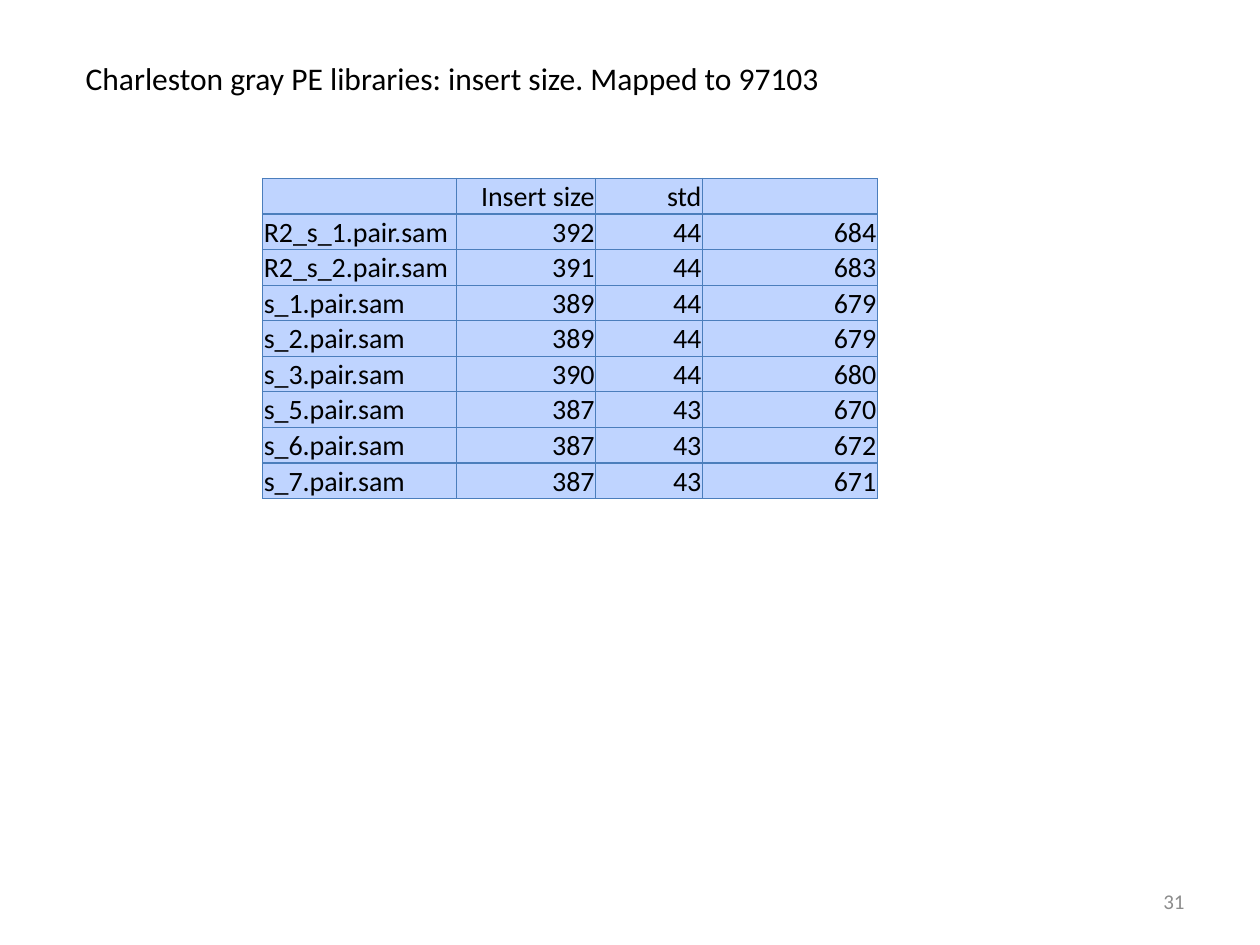
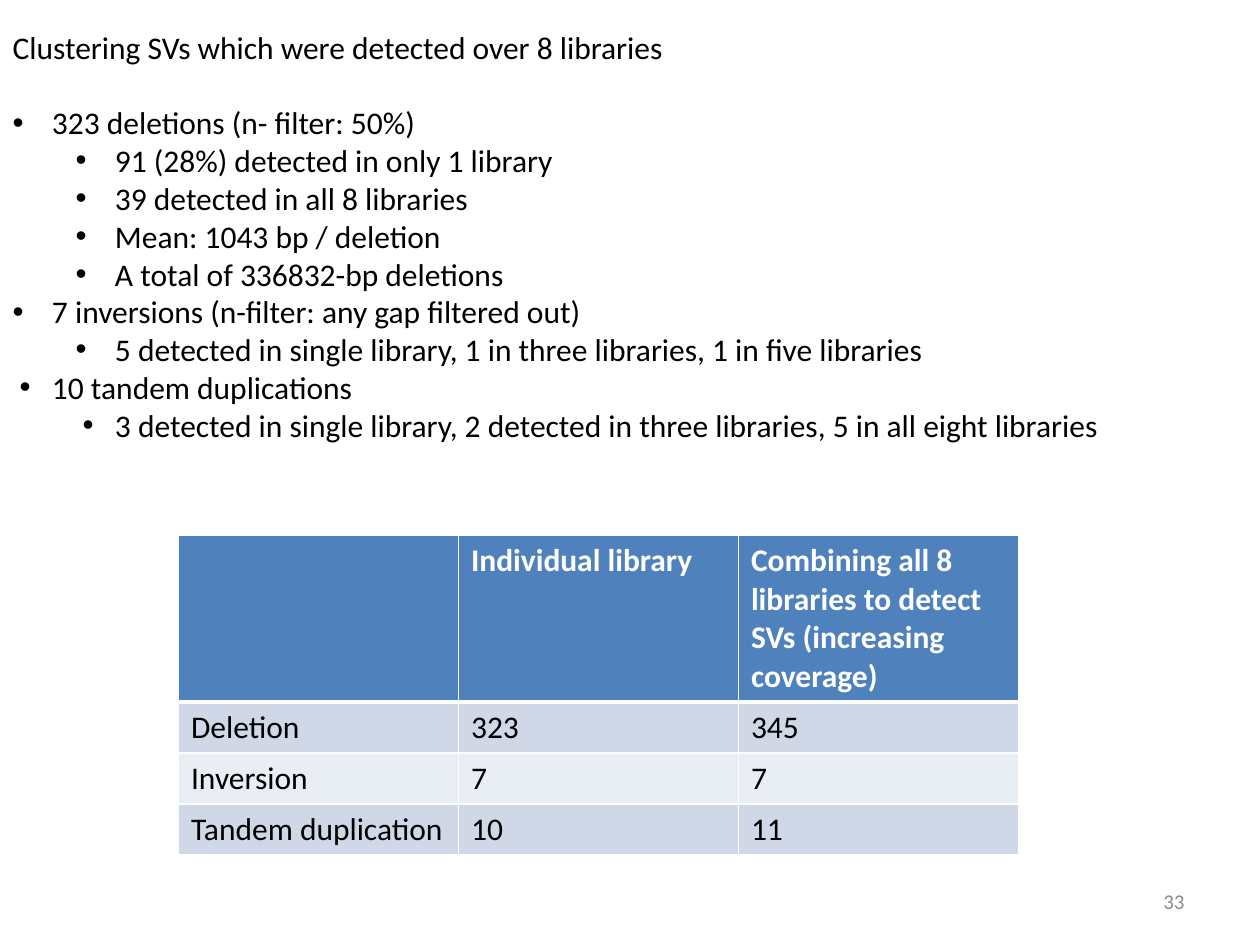
from lxml import etree
from pptx import Presentation
from pptx.dml.color import RGBColor
from pptx.enum.text import MSO_ANCHOR, MSO_AUTO_SIZE, PP_ALIGN
from pptx.oxml.ns import qn
from pptx.util import Pt

LEFT, RIGHT = PP_ALIGN.LEFT, PP_ALIGN.RIGHT
TOP, MID, LOW = MSO_ANCHOR.TOP, MSO_ANCHOR.MIDDLE, MSO_ANCHOR.BOTTOM
FIXED = MSO_AUTO_SIZE.NONE
FONT = "Calibri"
LINE = 21.6  # line pitch of 18 pt text
COLORS = {
    "ink": "000000", "white": "FFFFFF", "page": "8C8C8C",
    "pale": "BFD4FF", "rule": "4B7EBC",
    "head": "4F81BD", "odd": "D0D8E8", "even": "E9EDF4",
}

# Library, insert size, deviation, last column
SIZES = [
    ("", "Insert size", "std", ""),
    ("R2_s_1.pair.sam", "392", "44", "684"),
    ("R2_s_2.pair.sam", "391", "44", "683"),
    ("s_1.pair.sam", "389", "44", "679"),
    ("s_2.pair.sam", "389", "44", "679"),
    ("s_3.pair.sam", "390", "44", "680"),
    ("s_5.pair.sam", "387", "43", "670"),
    ("s_6.pair.sam", "387", "43", "672"),
    ("s_7.pair.sam", "387", "43", "671"),
]
COUNTS = [
    ("", "Individual library",
     "Combining all 8 libraries to detect SVs (increasing coverage)"),
    ("Deletion", "323", "345"),
    ("Inversion", "7", "7"),
    ("Tandem duplication", "10", "11"),
]
# Level, text margin, hanging indent, text
POINTS = [
    (0, 22.5, 22.5, "323 deletions (n- filter: 50%)"),
    (1, 58.5, 22.5, "91 (28%) detected in only 1 library"),
    (1, 58.5, 22.5, "39 detected in all 8 libraries"),
    (1, 58.5, 22.5, "Mean: 1043 bp / deletion"),
    (1, 58.5, 22.5, "A total of 336832-bp deletions"),
    (0, 22.5, 22.5, "7 inversions (n-filter: any gap filtered out)"),
    (1, 58.5, 22.5, "5 detected in single library, 1 in three libraries, "
                    "1 in five libraries"),
    (1, 22.5, 18.5, "10 tandem duplications"),
    (2, 58.5, 18.5, "3 detected in single library, 2 detected in three "
                    "libraries, 5 in all eight libraries"),
]


def color(name):
    return RGBColor.from_string(COLORS[name])


def style(par, size=18, tint="ink", bold=False, align=LEFT):
    par.alignment = align
    par.space_before = Pt(0)
    font = par.font
    font.name, font.size, font.bold = FONT, Pt(size), bold
    font.color.rgb = color(tint)


def place(shape, box, anchor=TOP):
    shape.left, shape.top, shape.width, shape.height = map(Pt, box)
    frame = shape.text_frame
    frame.word_wrap = True
    frame.auto_size = FIXED
    frame.vertical_anchor = anchor
    return frame


def add_title(slide, box, text):
    frame = place(slide.shapes.title, box)
    frame.text = text
    style(frame.paragraphs[0])


def add_page(slide, number):
    box = (516, 500.5, 168, 28.75)
    frame = place(slide.shapes.add_textbox(*map(Pt, box)), box, MID)
    frame.text = number
    style(frame.paragraphs[0], 12, "page", align=RIGHT)


def add_points(slide, box):
    frame = place(slide.placeholders[1], box)
    for i, (level, margin, hang, text) in enumerate(POINTS):
        par = frame.paragraphs[0] if i == 0 else frame.add_paragraph()
        par.text, par.level = text, level
        # Bullet with hanging indent
        props = par._p.get_or_add_pPr()
        props.set("marL", str(Pt(margin)))
        props.set("indent", str(-Pt(hang)))
        etree.SubElement(props, qn("a:buFont"), typeface="Arial")
        etree.SubElement(props, qn("a:buChar"), char="•")
        style(par)
        par.line_spacing = Pt(LINE)


def add_edge(cell, side, tint, width):
    props = cell._tc.get_or_add_tcPr()
    line = etree.SubElement(props, qn("a:ln" + side), w=str(Pt(width)))
    fill = etree.SubElement(line, qn("a:solidFill"))
    etree.SubElement(fill, qn("a:srgbClr"), val=COLORS[tint])


def fill_cell(cell, text, fill, edges, rule, size=18, **look):
    cell.text = text
    par = cell.text_frame.paragraphs[0]
    if not text:
        etree.SubElement(par._p, qn("a:endParaRPr"), sz=str(size * 100))
    style(par, size, **look)
    for side, width in zip("LRTB", edges):
        add_edge(cell, side, rule, width)
    cell.fill.solid()
    cell.fill.fore_color.rgb = color(fill)


def add_grid(slide, left, top, rows, widths, heights):
    table = slide.shapes.add_table(
        len(rows), len(widths), Pt(left), Pt(top),
        Pt(sum(widths)), Pt(sum(heights))).table
    table.first_row = table.horz_banding = False
    for col, width in zip(table.columns, widths):
        col.width = Pt(width)
    for row, height in zip(table.rows, heights):
        row.height = Pt(height)
    return table


def add_sizes(slide, left, top):
    table = add_grid(slide, left, top, SIZES, (111, 79.5, 61, 100),
                     [20.33] * len(SIZES))
    for r, row in enumerate(SIZES):
        for c, text in enumerate(row):
            cell = table.cell(r, c)
            cell.margin_left = cell.margin_right = cell.margin_top = Pt(0.72)
            cell.margin_bottom = Pt(0)
            cell.vertical_anchor = LOW
            fill_cell(cell, text, "pale", [0.75] * 4, "rule", 16,
                      align=RIGHT if c else LEFT)


def add_counts(slide, left, top):
    table = add_grid(slide, left, top, COUNTS, [160] * 3,
                     [94] + [29.2] * 3)
    for r, row in enumerate(COUNTS):
        head = r == 0
        fill = "head" if head else "odd" if r % 2 else "even"
        edges = (1, 1, 3 if r == 1 else 1, 3 if head else 1)
        for c, text in enumerate(row):
            fill_cell(table.cell(r, c), text, fill, edges, "white",
                      tint="white" if head else "ink", bold=head)


def size_slide(deck):
    slide = deck.slides.add_slide(deck.slide_layouts[5])
    add_title(slide, (41.75, 30.25, 504, 29),
              "Charleston gray PE libraries: insert size. Mapped to 97103")
    add_sizes(slide, 150, 102)
    add_page(slide, "31")


def cluster_slide(deck):
    slide = deck.slides.add_slide(deck.slide_layouts[1])
    top = 12.25
    add_title(slide, (0, top, 720, 29),
              "Clustering SVs which were detected over 8 libraries")
    add_points(slide, (0, top + 2 * LINE, 720, 204))
    add_counts(slide, 102, 306)
    add_page(slide, "33")


def main():
    deck = Presentation()
    deck.slide_width, deck.slide_height = Pt(720), Pt(540)
    size_slide(deck)
    cluster_slide(deck)
    deck.save("out.pptx")


if __name__ == "__main__":
    main()
